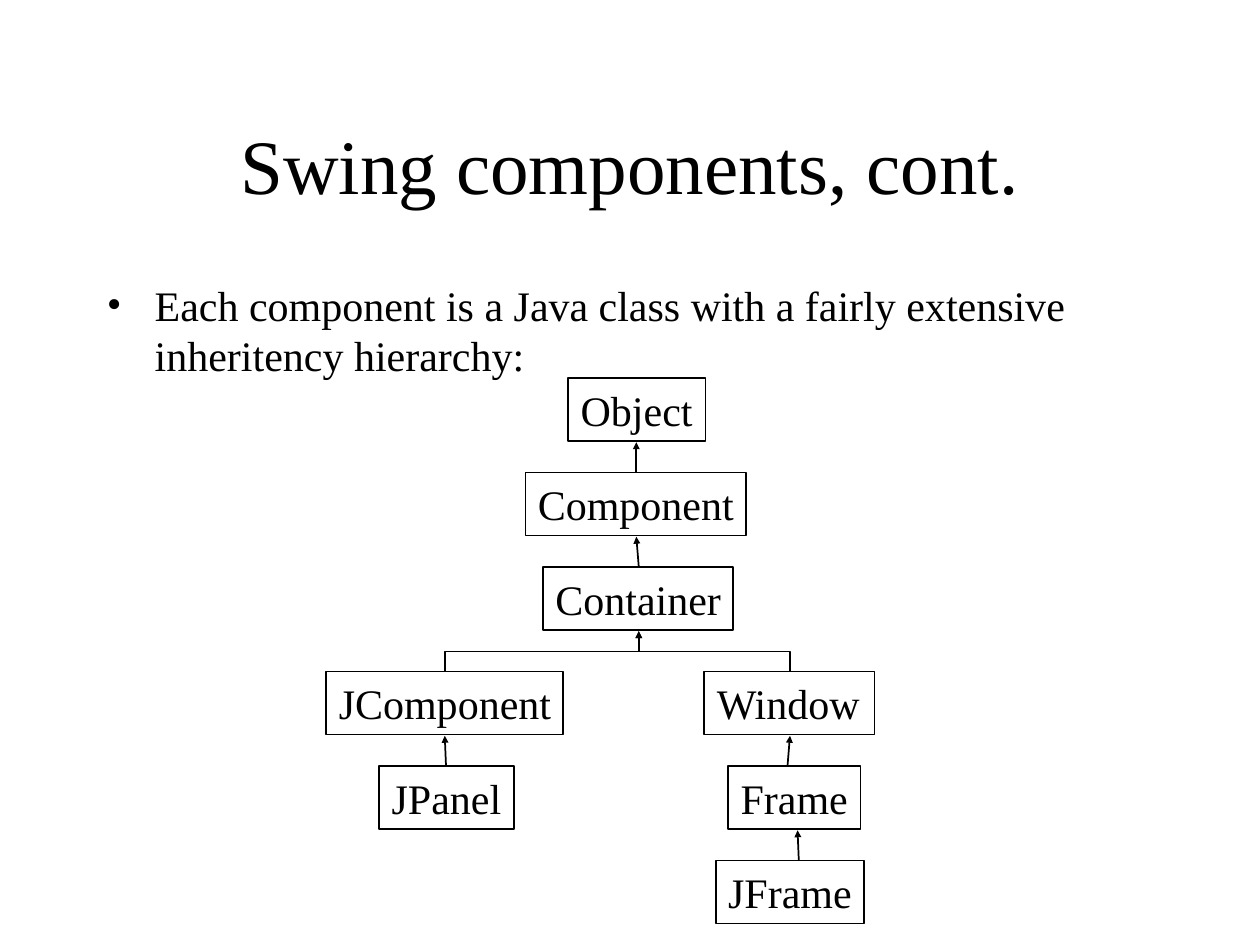
from pptx import Presentation
from pptx.dml.color import RGBColor
from pptx.enum.shapes import MSO_CONNECTOR as Link, MSO_SHAPE as Shape
from pptx.enum.text import MSO_ANCHOR as Anchor, MSO_AUTO_SIZE as Fit, PP_ALIGN as Align
from pptx.oxml.ns import qn
from pptx.util import Inches, Pt
from lxml.etree import SubElement as sub


def tint(color, code):
    color.rgb = RGBColor.from_string(code)


def write(frame, text, size, align, anchor):
    frame.vertical_anchor = anchor
    para = frame.paragraphs[0]
    para.alignment = align
    run = para.add_run()
    run.text = text
    run.font.name = "Times New Roman"
    run.font.size = Pt(size)
    tint(run.font.color, "000000")
    return para


deck = Presentation()
deck.slide_width = Inches(10)
deck.slide_height = Inches(7.5)
slide = deck.slides.add_slide(deck.slide_layouts[6])
shapes = slide.shapes

title = shapes.add_textbox(Inches(0.75), Inches(0.67), Inches(8.5), Inches(1.25))
title.text_frame.word_wrap = True
write(title.text_frame, "Swing components, cont.", 44, Align.CENTER, Anchor.MIDDLE)

body = shapes.add_textbox(Inches(0.75), Inches(2.17), Inches(8.5), Inches(4.5))
body.text_frame.word_wrap = True
point = write(
    body.text_frame,
    "Each component is a Java class with a fairly extensive inheritency hierarchy:",
    24, Align.LEFT, Anchor.TOP,
)
point.space_before = Pt(6)
props = point._p.get_or_add_pPr()
props.set("marL", str(Inches(0.38)))
props.set("indent", str(Inches(-0.38)))
sub(sub(props, qn("a:buClr")), qn("a:srgbClr")).set("val", "000000")
sub(props, qn("a:buFont")).set("typeface", "Times New Roman")
sub(props, qn("a:buChar")).set("char", "•")

high = 0.5
boxes = {
    "Object": (4.51, 3, 1.09),
    "Component": (4.17, 3.75, 1.75),
    "Container": (4.31, 4.5, 1.51),
    "JComponent": (2.59, 5.33, 1.88),
    "JPanel": (3.01, 6.08, 1.07),
    "Window": (5.59, 5.33, 1.35),
    "Frame": (5.78, 6.08, 1.05),
    "JFrame": (5.68, 6.83, 1.18),
}
for name, (left, top, wide) in boxes.items():
    box = shapes.add_shape(Shape.RECTANGLE, Inches(left), Inches(top), Inches(wide), Inches(high))
    box.shadow.inherit = False
    box.fill.background()
    tint(box.line.color, "000000")
    box.line.width = Pt(1)
    box.text_frame.word_wrap = False
    box.text_frame.auto_size = Fit.SHAPE_TO_FIT_TEXT
    box.text_frame.margin_right = Inches(0.05)
    write(box.text_frame, name, 24, Align.LEFT, Anchor.TOP)

links = [
    ("Component", 5.05, "Object", 5.05),
    ("Container", 5.07, "Component", 5.05),
    ("JComponent", 3.53, "Container", 5.07),
    ("Window", 6.27, "Container", 5.07),
    ("JPanel", 3.54, "JComponent", 3.53),
    ("Frame", 6.25, "Window", 6.27),
    ("JFrame", 6.34, "Frame", 6.33),
]
for child, x1, base, x2 in links:
    y1 = boxes[child][1]
    y2 = boxes[base][1] + high + 0.01
    bent = abs(x2 - x1) > 0.5
    kind, turn = Link.STRAIGHT, 0
    if bent:
        side = 1 if x1 < x2 else -1
        kind, turn = Link.ELBOW, 90 if side > 0 else 270
        midx, midy = (x1 + x2) / 2, (y1 + y2) / 2
        halfx, halfy = side * (y1 - y2) / 2, abs(x2 - x1) / 2
        x1, y1, x2, y2 = midx + halfx, midy + halfy, midx - halfx, midy - halfy
    line = shapes.add_connector(kind, Inches(x1), Inches(y1), Inches(x2), Inches(y2))
    tint(line.line.color, "000000")
    line.line.width = Pt(1)
    tip = sub(line.line._get_or_add_ln(), qn("a:tailEnd"))
    for key, val in (("type", "triangle"), ("w", "sm"), ("len", "sm")):
        tip.set(key, val)
    prop = line._element.spPr
    sub(prop, qn("a:effectLst"))
    if bent:
        prop.find(qn("a:xfrm")).set("rot", str(turn * 60000))

deck.save("out.pptx")
